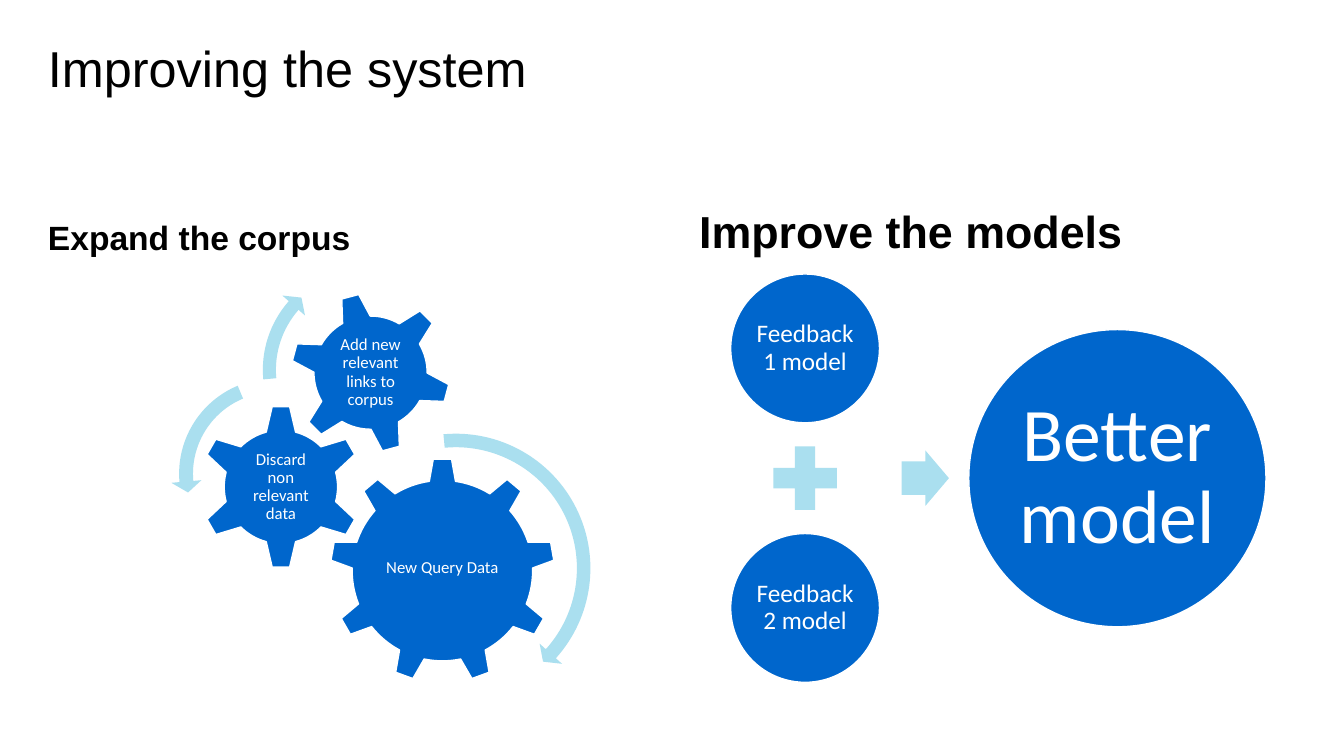
import math

import lxml.etree
import pptx
import pptx.util
import pptx.dml.color
import pptx.enum.shapes
import pptx.enum.text
import pptx.oxml.ns

Cm = pptx.util.Cm
SHAPE = pptx.enum.shapes.MSO_SHAPE
ANCHOR = pptx.enum.text.MSO_ANCHOR
ALIGN = pptx.enum.text.PP_ALIGN

BLUE, PALE, WHITE, BLACK = "0066CC", "AADFEF", "FFFFFF", "000000"


def color(value):
    return pptx.dml.color.RGBColor.from_string(value)


def write(sp, text, size, name="Calibri", ink=WHITE, bold=False,
          align=ALIGN.CENTER, anchor=ANCHOR.MIDDLE, inset=0.05):
    tf = sp.text_frame
    frame = {"word_wrap": True, "vertical_anchor": anchor}
    for side in ("left", "top", "right", "bottom"):
        frame["margin_" + side] = Cm(inset)
    for key, value in frame.items():
        setattr(tf, key, value)
    p = tf.paragraphs[0]
    p.alignment, p.line_spacing = align, 0.9
    r = p.add_run()
    r.text = text
    for key, value in {"name": name, "size": pptx.util.Pt(size), "bold": bold}.items():
        setattr(r.font, key, value)
    r.font.color.rgb = color(ink)


def paint(sp, fill, outlined=False):
    sp.shadow.inherit = False
    sp.fill.solid()
    sp.fill.fore_color.rgb = color(fill)
    if outlined:
        sp.line.color.rgb = color(WHITE)
        sp.line.width = pptx.util.Pt(1)
    else:
        sp.line.fill.background()


def centered(cx, cy, width, height):
    return Cm(cx - width / 2), Cm(cy - height / 2), Cm(width), Cm(height)


def polar(cx, cy, radius, degrees):
    """Point at a clockwise angle measured from twelve o'clock."""
    a = math.radians(degrees)
    return cx + radius * math.sin(a), cy - radius * math.cos(a)


def arc(cx, cy, radius, start, end, pieces=1):
    """Cubic segments, each two control points and an end point."""
    sweep = (end - start) / pieces
    bulge = 4 / 3 * math.tan(math.radians(sweep) / 4)
    lean = math.degrees(math.atan(bulge))
    reach = radius * math.hypot(1, bulge)
    angles = [start + i * sweep for i in range(pieces)]
    return [[polar(cx, cy, reach, a + lean),
             polar(cx, cy, reach, a + sweep - lean),
             polar(cx, cy, radius, a + sweep)] for a in angles]


def outline(group, cx, cy, size, segments):
    """Closed outline in a square frame; one point is a line, three a curve."""
    left, top, width, height = centered(cx, cy, size, size)
    emu = [(Cm(x), Cm(y)) for segment in segments for x, y in segment]
    builder = group.shapes.build_freeform(left, top)
    builder.move_to(left + width, top + height)
    builder.move_to(*emu[0])
    builder.add_line_segments(emu[1:], close=True)
    sp = builder.convert_to_shape()
    geometry = sp._element.xpath("./p:spPr/a:custGeom/a:pathLst/a:path")[0]
    for corner in geometry[:2]:
        geometry.remove(corner)
    steps = iter(geometry[1:-1])
    for segment in segments[1:]:
        parts = [next(steps) for _ in segment]
        if len(parts) == 3:
            curve = lxml.etree.Element(pptx.oxml.ns.qn("a:cubicBezTo"))
            parts[0].addprevious(curve)
            for part in parts:
                curve.append(part[0])
                geometry.remove(part)
    return sp


def gear(group, cx, cy, size, teeth, tip, base, tip_half, base_half, rotation=0):
    body = math.hypot(base, base_half)
    flank = math.degrees(math.atan2(base_half, base))
    crown = math.degrees(math.atan2(tip_half, tip))
    step = 360 / teeth
    segments = [[polar(cx, cy, body, -flank)]]
    for i in range(teeth):
        mid = i * step
        segments += [[polar(cx, cy, math.hypot(tip, tip_half), mid - crown)],
                     [polar(cx, cy, math.hypot(tip, tip_half), mid + crown)],
                     [polar(cx, cy, body, mid + flank)]]
        segments += arc(cx, cy, body, mid + flank, mid + step - flank)
    sp = outline(group, cx, cy, size, segments)
    sp.rotation = rotation
    paint(sp, BLUE, outlined=True)


def curved_arrow(group, cx, cy, size, radius, width, start, end, pieces):
    head_half, head_length = 0.38, 0.28
    outer, inner = radius + width / 2, radius - width / 2
    turn = math.copysign(math.degrees(head_length / radius), end - start)
    segments = [[polar(cx, cy, outer, start)]]
    segments += arc(cx, cy, outer, start, end, pieces)
    segments += [[polar(cx, cy, radius + head_half, end)],
                 [polar(cx, cy, radius, end + turn)],
                 [polar(cx, cy, radius - head_half, end)],
                 [polar(cx, cy, inner, end)]]
    segments += arc(cx, cy, inner, end, start, pieces)
    paint(outline(group, cx, cy, size, segments), PALE)


def heading(s, box, text, size, bold=True, anchor=ANCHOR.BOTTOM):
    sp = s.shapes.add_textbox(*(Cm(v) for v in box))
    write(sp, text, size, "Arial", BLACK, bold, ALIGN.LEFT, anchor, 0)


def corpus_region(s, x, y, width):
    heading(s, (x, y, width, 2.29), "Expand the corpus", 24)
    group = s.shapes.add_group_shape()
    gears = [
        ("New Query Data", 9.94, 10.17, (5.66, 9, 2.81, 2.25, 0.23, 0.33),
         3.38, 2.9, -0.06),
        ("Discard non relevant data", 5.87, 8.06, (4.11, 6, 2.02, 1.38, 0.22, 0.37),
         2.03, 2.03, 0),
        ("Add new relevant links to corpus", 8.13, 5.18,
         (4.04, 6, 1.98, 1.38, 0.22, 0.36, -15), 2.26, 2.26, 0),
    ]
    for text, dx, dy, form, text_width, text_height, shift in gears:
        cx, cy = x + dx, y + dy
        gear(group, cx, cy, *form)
        label = group.shapes.add_textbox(
            *centered(cx, cy + shift, text_width, text_height))
        write(label, text, 12)
    arrows = [
        (10.28, 10.11, 7.24, 3.22, 0.34, -5.3, 132, 2),
        (5.71, 7.73, 5.26, 2.23, 0.35, -22.7, -95, 1),
        (8.03, 5.11, 5.66, 2.45, 0.33, -95.3, -48.6, 1),
    ]
    for dx, dy, *form in arrows:
        curved_arrow(group, x + dx, y + dy, *form)


def models_region(s, x, y, width):
    heading(s, (x, y, width, 2.29), "Improve the models", 32)
    group = s.shapes.add_group_shape()
    column, middle, gap = x + 2.67, y + 7.83, 3.27
    circles = [
        ("Feedback 1 model", column, middle - gap, 3.75, 18, 0.05),
        ("Feedback 2 model", column, middle + gap, 3.75, 18, 0.05),
        ("Better model", x + 10.54, middle, 7.49, 54, 0.18),
    ]
    for text, cx, cy, diameter, size, inset in circles:
        sp = group.shapes.add_shape(SHAPE.OVAL, *centered(cx, cy, diameter, diameter))
        paint(sp, BLUE, outlined=True)
        write(sp, text, size, inset=inset)
    signs = [
        (SHAPE.MATH_PLUS, column, 2.18, 2.18, [0.235]),
        (SHAPE.RIGHT_ARROW, x + 5.7, 1.19, 1.4, [0.6, 0.5]),
    ]
    for kind, cx, w, h, adjustments in signs:
        sp = group.shapes.add_shape(kind, *centered(cx, middle, w, h))
        for i, value in enumerate(adjustments):
            sp.adjustments[i] = value
        paint(sp, PALE)


def main():
    prs = pptx.Presentation()
    prs.slide_width, prs.slide_height = Cm(33.87), Cm(19.05)
    s = prs.slides.add_slide(prs.slide_layouts[6])
    heading(s, (1.21, 1.19, 31.5, 1.19), "Improving the system", 36,
            bold=False, anchor=ANCHOR.MIDDLE)
    corpus_region(s, 1.21, 4.21, 15.24)
    models_region(s, 17.62, 4.22, 15.06)
    prs.save("out.pptx")


if __name__ == "__main__":
    main()
